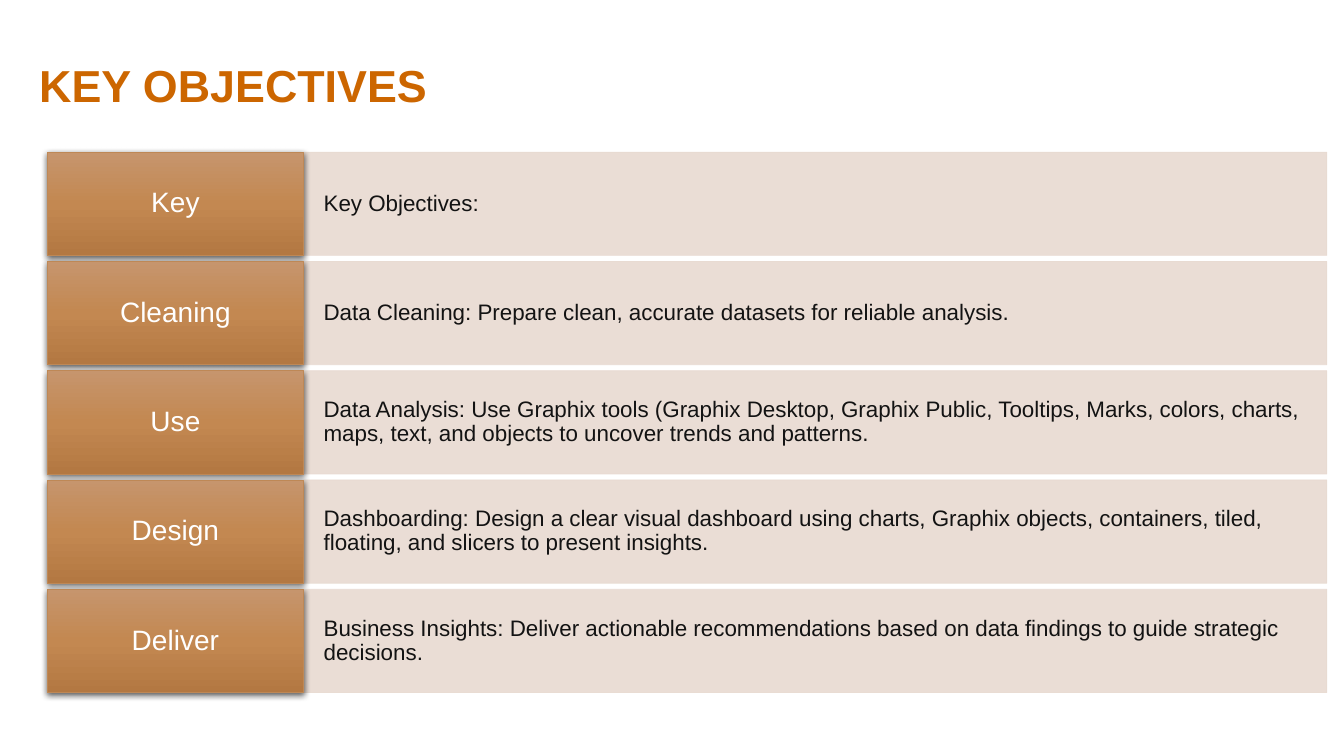
import copy
import pptx
import pptx.dml.color
import pptx.enum.shapes
import pptx.enum.text
import pptx.oxml
import pptx.oxml.ns
import pptx.util
from pptx.dml.color import RGBColor
from pptx.util import Inches

ORANGE = RGBColor(0xCC, 0x66, 0x00)
SAND = RGBColor(0xE8, 0xDA, 0xD1)
INK = RGBColor(0x13, 0x13, 0x13)
WHITE = RGBColor(0xFF, 0xFF, 0xFF)
EDGE = RGBColor(0xBE, 0x88, 0x56)
COPPER = [
    (0, RGBColor(0xC6, 0x95, 0x6D)),
    (0.5, RGBColor(0xC3, 0x88, 0x51)),
    (1, RGBColor(0xB3, 0x78, 0x42)),
]
SHADOW = (
    '<a:outerShdw %s blurRad="57150" dist="19050" dir="5400000" algn="ctr" rotWithShape="0">'
    '<a:srgbClr val="000000"><a:alpha val="63000"/></a:srgbClr></a:outerShdw>'
    % pptx.oxml.ns.nsdecls("a")
)

# Grid: a label column and a text column, five equal rows
LEFT, SPLIT, RIGHT = 0.47, 3.01, 13.16
TOP, BOTTOM, GAP = 1.51, 6.87, 0.06
ROWS = [
    ("Key", "Key Objectives:"),
    ("Cleaning", "Data Cleaning: Prepare clean, accurate datasets for reliable analysis."),
    ("Use", "Data Analysis: Use Graphix tools (Graphix Desktop, Graphix Public, Tooltips, Marks, "
            "colors, charts, maps, text, and objects to uncover trends and patterns."),
    ("Design", "Dashboarding: Design a clear visual dashboard using charts, Graphix objects, "
               "containers, tiled, floating, and slicers to present insights."),
    ("Deliver", "Business Insights: Deliver actionable recommendations based on data findings "
                "to guide strategic decisions."),
]
PITCH = (BOTTOM - TOP + GAP) / len(ROWS)


def write(sp, text, size, color, align, anchor, inset_x, inset_y):
    tf = sp.text_frame
    tf.word_wrap = True
    tf.vertical_anchor = anchor
    tf.margin_left = tf.margin_right = Inches(inset_x)
    tf.margin_top = tf.margin_bottom = Inches(inset_y)
    tf.text = text
    p = tf.paragraphs[0]
    p.alignment = align
    p.line_spacing = 0.9
    font = p.runs[0].font
    font.name = "Arial"
    font.size = pptx.util.Pt(size)
    font.color.rgb = color
    return font


def add_box(s, left, right, top, edge):
    sp = s.shapes.add_shape(
        pptx.enum.shapes.MSO_SHAPE.RECTANGLE,
        Inches(left), Inches(top), Inches(right - left), Inches(PITCH - GAP))
    sp.shadow.inherit = False
    sp.line.color.rgb = edge
    sp.line.width = pptx.util.Pt(0.5)
    return sp


ALIGN = pptx.enum.text.PP_ALIGN
ANCHOR = pptx.enum.text.MSO_ANCHOR
prs = pptx.Presentation()
prs.slide_width, prs.slide_height = Inches(13.33), Inches(7.5)
s = prs.slides.add_slide(prs.slide_layouts[6])

# Title
title = s.shapes.add_textbox(Inches(0.29), Inches(0.1), Inches(5.01), Inches(1.06))
write(title, "KEY OBJECTIVES", 32, ORANGE, ALIGN.LEFT, ANCHOR.BOTTOM, 0.1, 0.05).bold = True

for i, (label, detail) in enumerate(ROWS):
    top = TOP + i * PITCH

    # Description band, slightly transparent
    band = add_box(s, SPLIT, RIGHT, top, SAND)
    band.fill.solid()
    band.fill.fore_color.rgb = SAND
    for clr in band._element.spPr.iter(pptx.oxml.ns.qn("a:srgbClr")):
        clr.append(pptx.oxml.parse_xml(
            '<a:alpha %s val="90000"/>' % pptx.oxml.ns.nsdecls("a")))
    write(band, detail, 16, INK, ALIGN.LEFT, ANCHOR.MIDDLE, 0.2, 0.26)

    # Label tile with copper gradient and soft shadow
    tile = add_box(s, LEFT, SPLIT, top, EDGE)
    tile.fill.gradient()
    tile.fill.gradient_angle = 270
    stops = tile._element.spPr.find(".//" + pptx.oxml.ns.qn("a:gsLst"))
    stops.append(copy.deepcopy(stops[0]))
    for stop, (position, color) in zip(tile.fill.gradient_stops, COPPER):
        stop.position = position
        stop.color.rgb = color
    effects = tile._element.spPr.find(pptx.oxml.ns.qn("a:effectLst"))
    effects.append(pptx.oxml.parse_xml(SHADOW))
    write(tile, label, 20, WHITE, ALIGN.CENTER, ANCHOR.MIDDLE, 0.13, 0.1)

prs.save("out.pptx")
